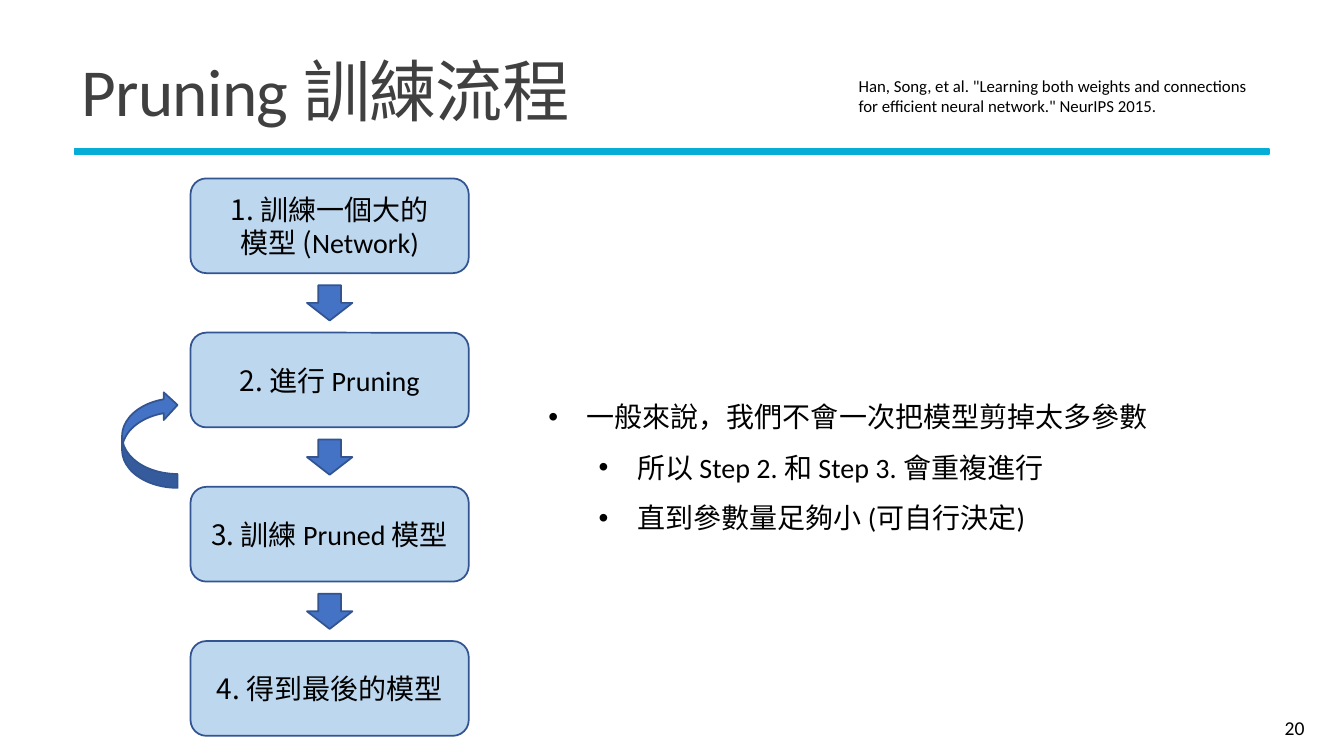
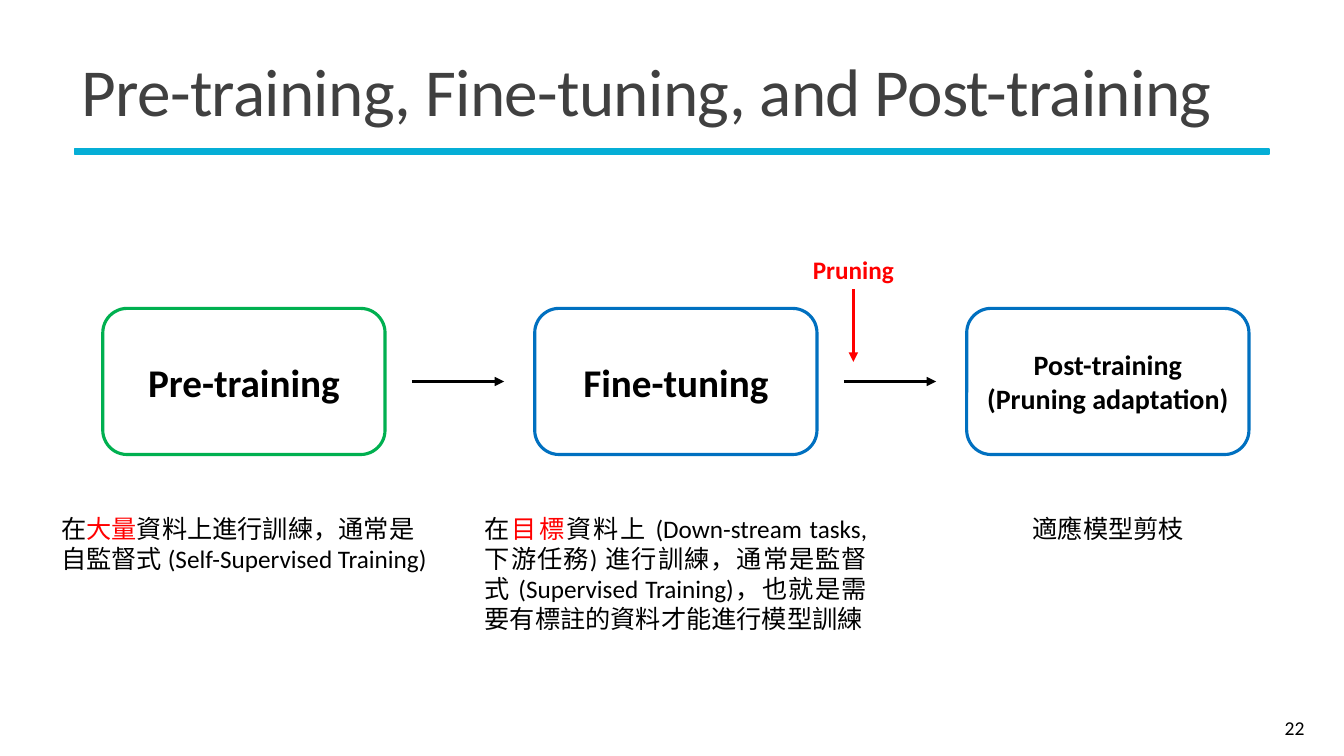
from dataclasses import dataclass
from typing import Any, NamedTuple, Optional

import lxml.etree
import pptx
import pptx.dml.color
import pptx.enum.shapes
import pptx.enum.text
import pptx.oxml.ns
import pptx.slide
import pptx.util

RGBColor = pptx.dml.color.RGBColor
Align = pptx.enum.text.PP_ALIGN
Anchor = pptx.enum.text.MSO_ANCHOR
Preset = pptx.enum.shapes.MSO_SHAPE
Pt = pptx.util.Pt
qn = pptx.oxml.ns.qn

BLACK = RGBColor(0x00, 0x00, 0x00)
RED = RGBColor(0xFF, 0x00, 0x00)
GREEN = RGBColor(0x00, 0xB0, 0x50)
BLUE = RGBColor(0x00, 0x70, 0xC0)
TITLE_GREY = RGBColor(0x40, 0x40, 0x40)
RULE_CYAN = RGBColor(0x05, 0xAE, 0xD6)
STEP_FILL = RGBColor(0xBD, 0xD7, 0xEE)
STEP_LINE = RGBColor(0x32, 0x54, 0x91)
ARROW_FILL = RGBColor(0x44, 0x72, 0xC4)

LATIN = "Calibri"
CHINESE = "Noto Sans CJK TC"
SLIDE_WIDTH = pptx.util.Inches(13.333)
SLIDE_HEIGHT = pptx.util.Inches(7.5)
TITLE_LAYOUT, LIST_LAYOUT = 5, 1


class Area(NamedTuple):
    """A place in percent of the slide's width and height."""
    left: float
    top: float
    width: float
    height: float

    def lengths(self) -> tuple[int, int, int, int]:
        return (across(self.left), down(self.top),
                across(self.width), down(self.height))


class Run(NamedTuple):
    text: str
    color: RGBColor = BLACK
    font: str = LATIN


Lines = list[list[Run]]


@dataclass(frozen=True)
class Style:
    size: float
    bold: bool = False
    align: Any = Align.LEFT
    anchor: Any = Anchor.TOP
    line_spacing: float = 1.0
    tracking: int = 0


@dataclass(frozen=True)
class Stage:
    name: Lines
    size: float
    color: RGBColor
    note: list[Run]
    note_area: Area
    note_align: Any


TITLE_AREA = Area(5.33, 5.2, 89.55, 15.07)
RULE_AREA = Area(5.55, 19.73, 88.88, 0.67)
NUMBER_AREA = Area(87.08, 93.6, 10.73, 5.33)
TITLE_STYLE = Style(48, anchor=Anchor.MIDDLE, line_spacing=0.85, tracking=-50)
NUMBER_STYLE = Style(14, align=Align.RIGHT, anchor=Anchor.MIDDLE)

FIRST_STEP = Area(14.18, 23.6, 20.7, 12.53)
STEP_PITCH = 20.4
STEP_ARROW_WIDTH, STEP_ARROW_HEIGHT = 3.38, 4.67
STEP_STYLE = Style(20, align=Align.CENTER, anchor=Anchor.MIDDLE)
STEPS: list[Lines] = [
    [[Run("1. 訓練一個大的", font=CHINESE)],
     [Run("模型 (", font=CHINESE), Run("Network)")]],
    [[Run("2. 進行 ", font=CHINESE), Run("Pruning")]],
    [[Run("3. 訓練 ", font=CHINESE), Run("Pruned 模型")]],
    [[Run("4. 得到最後的模型", font=CHINESE)]],
]
POINTS = [
    (0, "一般來說，我們不會一次把模型剪掉太多參數"),
    (1, "所以 Step 2. 和 Step 3. 會重複進行"),
    (1, "直到參數量足夠小 (可自行決定)"),
]
CITATION = ('Han, Song, et al. "Learning both weights and connections '
            'for efficient neural network." NeurIPS 2015.')

FIRST_STAGE = Area(7.65, 40.8, 21, 19.33)
STAGE_PITCH = 32.14
STAGE_ARROW_GAP, STAGE_ARROW_LENGTH = 2, 6.86
STAGES = [
    Stage([[Run("Pre-training")]], 28, GREEN,
          [Run("在"), Run("大量", RED),
           Run("資料上進行訓練，通常是自監督式 (Self-Supervised Training)")],
          Area(3.83, 67.2, 29.4, 9.47), Align.LEFT),
    Stage([[Run("Fine-tuning")]], 28, BLUE,
          [Run("在"), Run("目標", RED),
           Run("資料上 (Down-stream tasks, 下游任務) 進行訓練，通常是監督式 "
               "(Supervised Training)，也就是需要有標註的資料才能進行模型訓練")],
          Area(35.33, 67.2, 29.93, 17.47), Align.JUSTIFY),
    Stage([[Run("Post-training")], [Run("(Pruning adaptation)")]], 20, BLUE,
          [Run("適應模型剪枝")],
          Area(75.3, 67.2, 14.33, 5.33), Align.CENTER),
]
PRUNING_LABEL = Area(59.18, 32.93, 8.63, 5.33)


def across(percent: float) -> int:
    return round(SLIDE_WIDTH * percent / 100)


def down(percent: float) -> int:
    return round(SLIDE_HEIGHT * percent / 100)


def set_values(target: Any, values: dict[str, Any]) -> None:
    for name, value in values.items():
        setattr(target, name, value)


def place(shape: Any, area: Area) -> None:
    set_values(shape, dict(zip(("left", "top", "width", "height"), area.lengths())))


def write(shape: Any, lines: Lines, style: Style) -> None:
    frame = shape.text_frame
    set_values(frame, {
        "word_wrap": True,
        "auto_size": pptx.enum.text.MSO_AUTO_SIZE.NONE,
        "vertical_anchor": style.anchor,
    })
    for index, line in enumerate(lines):
        paragraph = frame.add_paragraph() if index else frame.paragraphs[0]
        set_values(paragraph, {
            "alignment": style.align,
            "line_spacing": style.line_spacing,
            "space_before": Pt(0),
        })
        for part in line:
            run = paragraph.add_run()
            run.text = part.text
            set_values(run.font, {"size": Pt(style.size), "bold": style.bold,
                                  "name": part.font})
            run.font.color.rgb = part.color
            properties = run._r.get_or_add_rPr()
            if style.tracking:
                properties.set("spc", str(style.tracking))
            lxml.etree.SubElement(properties, qn("a:ea"), typeface=CHINESE)


def add_text(slide: pptx.slide.Slide, area: Area, lines: Lines, style: Style) -> None:
    write(slide.shapes.add_textbox(*area.lengths()), lines, style)


def add_figure(slide: pptx.slide.Slide, preset: Any, area: Area,
               fill: Optional[RGBColor], line: RGBColor,
               line_width: float = 1.25) -> Any:
    shape = slide.shapes.add_shape(preset, *area.lengths())
    shape.shadow.inherit = False
    if fill is None:
        shape.fill.background()
    else:
        shape.fill.solid()
        shape.fill.fore_color.rgb = fill
    shape.line.color.rgb = line
    shape.line.width = Pt(line_width)
    return shape


def add_arrow(slide: pptx.slide.Slide, start: tuple[float, float],
              end: tuple[float, float], color: RGBColor) -> None:
    connector = slide.shapes.add_connector(
        pptx.enum.shapes.MSO_CONNECTOR.STRAIGHT,
        across(start[0]), down(start[1]), across(end[0]), down(end[1]))
    connector.line.color.rgb = color
    connector.line.width = Pt(2.25)
    properties = connector.element.spPr
    lxml.etree.SubElement(properties.find(qn("a:ln")), qn("a:tailEnd"), type="triangle")
    lxml.etree.SubElement(properties, qn("a:effectLst"))


def add_bullets(shape: Any, points: list[tuple[int, str]]) -> None:
    write(shape, [[Run(text)] for _, text in points], Style(20, line_spacing=1.5))
    for paragraph, (level, _) in zip(shape.text_frame.paragraphs, points):
        paragraph.level = level
        properties = paragraph._p.get_or_add_pPr()
        indent = pptx.util.Inches(0.38)
        properties.set("marL", str(indent + level * pptx.util.Inches(0.5)))
        properties.set("indent", str(-indent))
        lxml.etree.SubElement(properties, qn("a:buFont"), typeface="Arial")
        lxml.etree.SubElement(properties, qn("a:buChar"), char="•")


def add_slide(presentation: Any, layout: int, title: str, number: int) -> pptx.slide.Slide:
    """Add a slide with the shared title, rule and page number."""
    slide = presentation.slides.add_slide(presentation.slide_layouts[layout])
    add_figure(slide, Preset.RECTANGLE, RULE_AREA, RULE_CYAN, RULE_CYAN)
    place(slide.shapes.title, TITLE_AREA)
    write(slide.shapes.title, [[Run(title, TITLE_GREY)]], TITLE_STYLE)
    add_text(slide, NUMBER_AREA, [[Run(str(number))]], NUMBER_STYLE)
    return slide


def build_pruning_steps(presentation: Any) -> None:
    slide = add_slide(presentation, LIST_LAYOUT, "Pruning 訓練流程", 20)
    arrow_left = FIRST_STEP.left + (FIRST_STEP.width - STEP_ARROW_WIDTH) / 2
    arrow_offset = (FIRST_STEP.height + STEP_PITCH - STEP_ARROW_HEIGHT) / 2
    for index, lines in enumerate(STEPS):
        area = FIRST_STEP._replace(top=FIRST_STEP.top + index * STEP_PITCH)
        box = add_figure(slide, Preset.ROUNDED_RECTANGLE, area, STEP_FILL, STEP_LINE)
        write(box, lines, STEP_STYLE)
        if index < len(STEPS) - 1:
            arrow_area = Area(arrow_left, area.top + arrow_offset,
                              STEP_ARROW_WIDTH, STEP_ARROW_HEIGHT)
            add_figure(slide, Preset.DOWN_ARROW, arrow_area, ARROW_FILL, STEP_LINE)
    repeat_arrow = add_figure(slide, Preset.CURVED_LEFT_ARROW,
                              Area(9.08, 51.73, 4.13, 12.8), ARROW_FILL, STEP_LINE)
    repeat_arrow.rotation = 180
    body = slide.placeholders[1]
    place(body, Area(40.05, 50, 52.65, 20.8))
    add_bullets(body, POINTS)
    add_text(slide, Area(63.15, 9.33, 30.9, 6.67), [[Run(CITATION)]], Style(12))


def build_training_stages(presentation: Any) -> None:
    slide = add_slide(presentation, TITLE_LAYOUT,
                      "Pre-training, Fine-tuning, and Post-training", 22)
    middle = FIRST_STAGE.top + FIRST_STAGE.height / 2
    for index, stage in enumerate(STAGES):
        area = FIRST_STAGE._replace(left=FIRST_STAGE.left + index * STAGE_PITCH)
        box = add_figure(slide, Preset.ROUNDED_RECTANGLE, area, None, stage.color, 2.25)
        write(box, stage.name, Style(stage.size, True, Align.CENTER, Anchor.MIDDLE))
        add_text(slide, stage.note_area, [stage.note], Style(18, align=stage.note_align))
        if index < len(STAGES) - 1:
            start = area.left + area.width + STAGE_ARROW_GAP
            add_arrow(slide, (start, middle), (start + STAGE_ARROW_LENGTH, middle), BLACK)
    add_text(slide, PRUNING_LABEL, [[Run("Pruning", RED)]], Style(18, True, Align.CENTER))
    center = PRUNING_LABEL.left + PRUNING_LABEL.width / 2
    label_bottom = PRUNING_LABEL.top + PRUNING_LABEL.height
    add_arrow(slide, (center, label_bottom), (center, label_bottom + 9.6), RED)


def main() -> None:
    presentation = pptx.Presentation()
    set_values(presentation, {"slide_width": SLIDE_WIDTH, "slide_height": SLIDE_HEIGHT})
    build_pruning_steps(presentation)
    build_training_stages(presentation)
    presentation.save("out.pptx")


if __name__ == "__main__":
    main()
